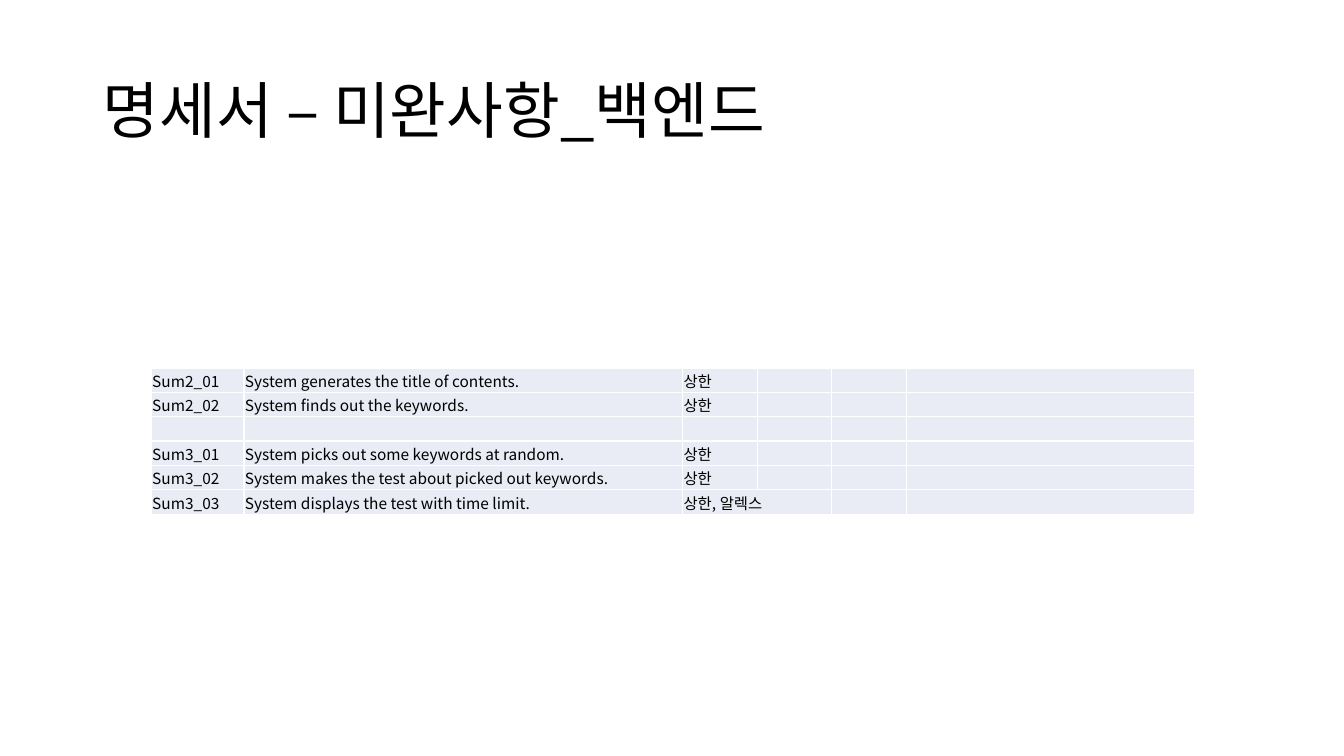
"""Builds the slide listing the unfinished back-end specification items."""
from lxml.etree import SubElement
from pptx import Presentation
from pptx.dml.color import RGBColor
from pptx.enum.text import MSO_ANCHOR
from pptx.oxml import parse_xml
from pptx.oxml.ns import nsdecls, qn
from pptx.util import Inches, Pt

FONT = "Noto Sans CJK KR"
BLACK, WHITE, PALE_BLUE = "000000", "FFFFFF", "E9EBF5"


def color(hex_value):
    return RGBColor.from_string(hex_value)


def add_run(paragraph, text, size):
    run = paragraph.add_run()
    run.text = text
    run.font.size = Pt(size)
    run.font.name = FONT
    run.font.color.rgb = color(BLACK)
    SubElement(run.font._element, qn("a:ea"), typeface=FONT)


prs = Presentation()
prs.slide_width, prs.slide_height = Inches(13.33), Inches(7.5)
slide = prs.slides.add_slide(prs.slide_layouts[6])

title = slide.shapes.add_textbox(Inches(0.92), Inches(0.4), Inches(11.5), Inches(1.45)).text_frame
title.word_wrap = True
title.vertical_anchor = MSO_ANCHOR.MIDDLE
title.paragraphs[0].line_spacing = 0.9
add_run(title.paragraphs[0], "명세서 – 미완사항_백엔드", 44)

requirements = [
    ("Sum2_01", "System generates the title of contents.", "상한"),
    ("Sum2_02", "System finds out the keywords.", "상한"),
    (),
    ("Sum3_01", "System picks out some keywords at random.", "상한"),
    ("Sum3_02", "System makes the test about picked out keywords.", "상한"),
    ("Sum3_03", "System displays the test with time limit.", "상한, 알렉스"),
]
column_widths = [0.92, 4.35, 0.74, 0.74, 0.74, 2.86]
row_height = 0.242

specification = slide.shapes.add_table(
    len(requirements), len(column_widths), Inches(1.5), Inches(3.65),
    Inches(sum(column_widths)), Inches(row_height * len(requirements))).table
specification.first_row = False
specification.horz_banding = False
for column, width in zip(specification.columns, column_widths):
    column.width = Inches(width)
for row in specification.rows:
    row.height = Inches(row_height)

for r, requirement in enumerate(requirements):
    for c in range(len(column_widths)):
        cell = specification.cell(r, c)
        cell.fill.solid()
        cell.fill.fore_color.rgb = color(PALE_BLUE)
        cell.vertical_anchor = MSO_ANCHOR.MIDDLE
        cell.margin_left = cell.margin_right = cell.margin_top = Inches(0.01)
        cell.margin_bottom = 0
        for i, side in enumerate(("lnL", "lnR", "lnT", "lnB")):
            cell._tc.tcPr.insert(i, parse_xml(
                f'<a:{side} {nsdecls("a")} w="{Pt(1)}"><a:solidFill>'
                f'<a:srgbClr val="{WHITE}"/></a:solidFill></a:{side}>'))
        paragraph = cell.text_frame.paragraphs[0]
        if c < len(requirement):
            add_run(paragraph, requirement[c], 11)
        else:
            SubElement(paragraph._p, qn("a:endParaRPr"), sz="1100")

specification.cell(5, 2).merge(specification.cell(5, 3))

prs.save("out.pptx")
